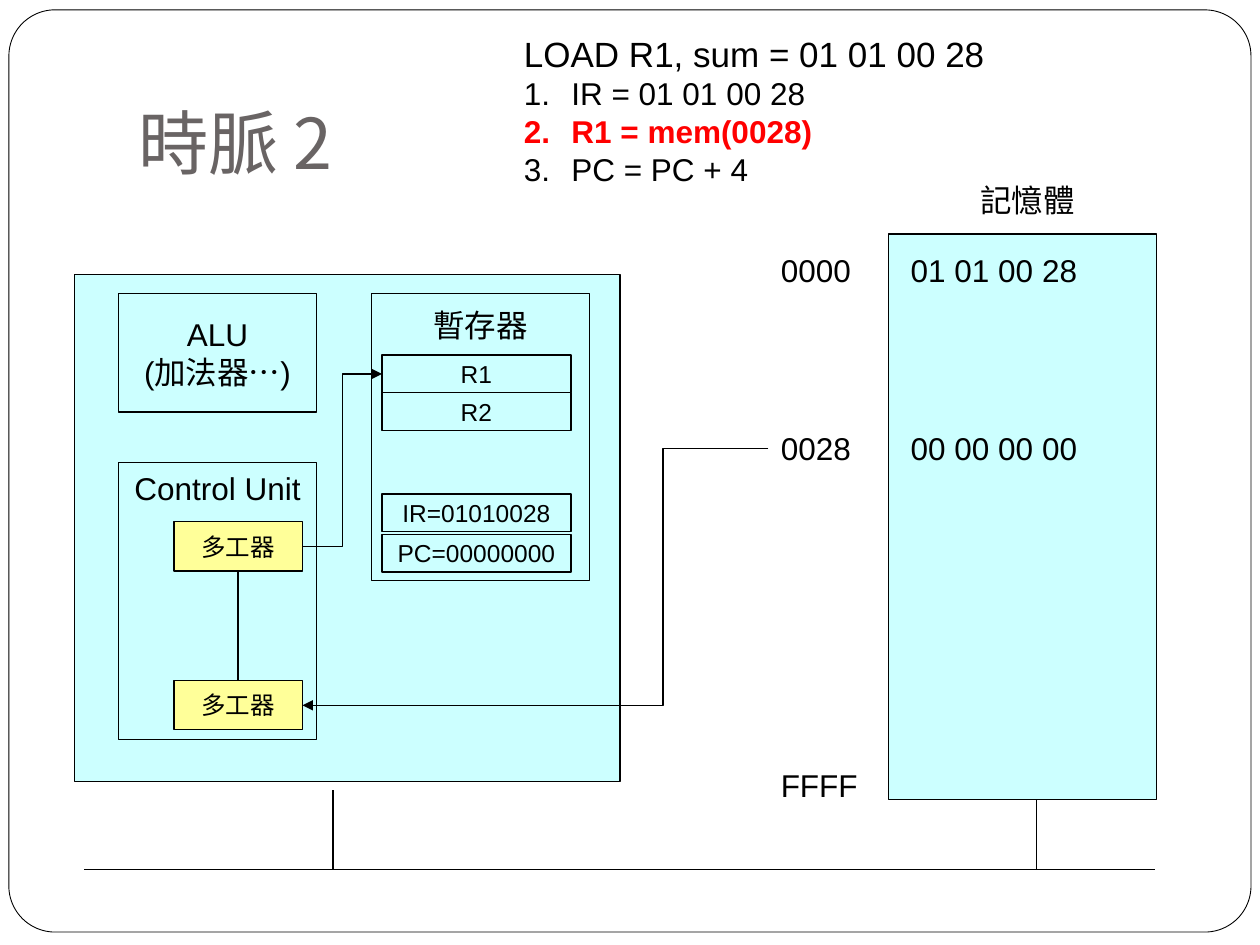
from lxml.etree import SubElement
from pptx import Presentation
from pptx.dml.color import RGBColor
from pptx.enum.shapes import MSO_CONNECTOR as Link, MSO_SHAPE as Shape
from pptx.enum.text import MSO_ANCHOR as Anchor, PP_ALIGN as Align
from pptx.oxml.ns import qn
from pptx.util import Cm, Pt

COLORS = {"ink": "000000", "paper": "FFFFFF", "cyan": "CCFFFF",
          "yellow": "FFFF99", "title": "696464", "red": "FF0000"}


def write(box, text, size, color="ink", font="Arial", align=Align.LEFT):
    box.text_frame.text = text
    for para in box.text_frame.paragraphs:
        para.alignment = align
        for span in para.runs:
            span.font.size = Pt(size)
            span.font.name = font
            span.font.color.rgb = RGBColor.from_string(COLORS[color])


def paint(box, fill, weight):
    box.shadow.inherit = False
    box.fill.solid()
    box.fill.fore_color.rgb = RGBColor.from_string(COLORS[fill])
    box.line.color.rgb = RGBColor.from_string(COLORS["ink"])
    box.line.width = Pt(weight)


deck = Presentation()
deck.slide_width, deck.slide_height = Cm(25.4), Cm(19.05)
page = deck.slides.add_slide(deck.slide_layouts[6])

frame = page.shapes.add_shape(Shape.ROUNDED_RECTANGLE, Cm(0.18), Cm(0.2), Cm(25.04), Cm(18.59))
frame.adjustments[0] = 0.05
paint(frame, "paper", 0.5)

title = page.shapes.add_textbox(Cm(2.54), Cm(0.76), Cm(21.59), Cm(3.18))
title.text_frame.word_wrap = True
title.text_frame.vertical_anchor = Anchor.BOTTOM
title.text_frame.margin_bottom = Cm(0.25)
write(title, "時脈 2", 40, "title", "Noto Sans CJK SC")
title_font = title.text_frame.paragraphs[0].runs[0].font
SubElement(title_font._element, qn("a:ea"), typeface="Noto Sans CJK SC")

steps = page.shapes.add_textbox(Cm(10.31), Cm(0.53), Cm(10.21), Cm(4.17))
steps.text_frame.word_wrap = True
write(steps, "LOAD R1, sum = 01 01 00 28\nIR = 01 01 00 28\nR1 = mem(0028)\nPC = PC + 4", 18)
heading, *items = steps.text_frame.paragraphs
heading.runs[0].font.size = Pt(20)
for para in items:
    active = para is items[1]
    color = COLORS["red" if active else "ink"]
    props = para._p.get_or_add_pPr()
    props.set("marL", str(Cm(0.96)))
    props.set("indent", str(-Cm(0.96)))
    SubElement(SubElement(props, qn("a:buClr")), qn("a:srgbClr"), val=color)
    SubElement(props, qn("a:buFont"), typeface="Arial")
    SubElement(props, qn("a:buAutoNum"), type="arabicPeriod")
    para.runs[0].font.bold = active
    para.runs[0].font.color.rgb = RGBColor.from_string(color)

blocks = [
    ("", 1.5, 5.54, 11, 10.21, "cyan", 18, None),
    ("ALU\n(加法器…)", 2.39, 5.92, 3.99, 2.39, "cyan", 18, None),
    ("Control Unit", 2.39, 9.32, 3.99, 5.59, "cyan", 18, 0.13),
    ("暫存器", 7.49, 5.92, 4.39, 5.79, "cyan", 18, 0.25),
    ("", 17.91, 4.72, 5.41, 11.4, "cyan", 18, None),
]
registers = [("R1", 7.16), ("R2", 7.92), ("IR=01010028", 9.96), ("PC=00000000", 10.77)]
blocks += [(name, 7.7, top, 3.81, 0.76, "cyan", 14, None) for name, top in registers]
blocks += [("多工器", 3.51, top, 2.59, 0.99, "yellow", 14, None) for top in (10.52, 13.72)]
for text, left, top, width, height, fill, size, inset in blocks:
    box = page.shapes.add_shape(Shape.RECTANGLE, Cm(left), Cm(top), Cm(width), Cm(height))
    paint(box, fill, 0.75)
    if text:
        box.text_frame.word_wrap = False
        box.text_frame.vertical_anchor = Anchor.TOP if inset else Anchor.MIDDLE
        if inset:
            box.text_frame.margin_top = Cm(inset)
        write(box, text, size, align=Align.CENTER)

labels = [
    ("記憶體", 19.51, 3.53, 2.41),
    ("0000", 15.49, 4.93, 2.06),
    ("01 01 00 28", 18.11, 4.93, 3.86),
    ("0028", 15.49, 8.53, 2.06),
    ("00 00 00 00", 18.11, 8.53, 3.86),
    ("FFFF", 15.49, 15.32, 2.06),
]
for text, left, top, width in labels:
    label = page.shapes.add_textbox(Cm(left), Cm(top), Cm(width), Cm(1.02))
    label.text_frame.word_wrap = False
    write(label, text, 18)

wires = [
    (1.7, 17.53, 23.29, 17.53, None),
    (6.71, 15.93, 6.71, 17.53, None),
    (20.9, 16.13, 20.9, 17.53, None),
    (4.8, 13.72, 4.8, 11.53, None),
    (6.1, 11.02, 7.7, 7.54, 50000),
    (15.49, 9.04, 6.1, 14.22, 22600),
]
for x1, y1, x2, y2, bend in wires:
    kind = Link.ELBOW if bend else Link.STRAIGHT
    wire = page.shapes.add_connector(kind, Cm(x1), Cm(y1), Cm(x2), Cm(y2))
    wire.line.color.rgb = RGBColor.from_string(COLORS["ink"])
    wire.line.width = Pt(0.75)
    props = wire._element.spPr
    SubElement(props, qn("a:effectLst"))
    if bend:
        SubElement(props.find(qn("a:ln")), qn("a:tailEnd"), type="triangle")
        guides = props.find(qn("a:prstGeom")).find(qn("a:avLst"))
        SubElement(guides, qn("a:gd"), name="adj1", fmla=f"val {bend}")

deck.save("out.pptx")
